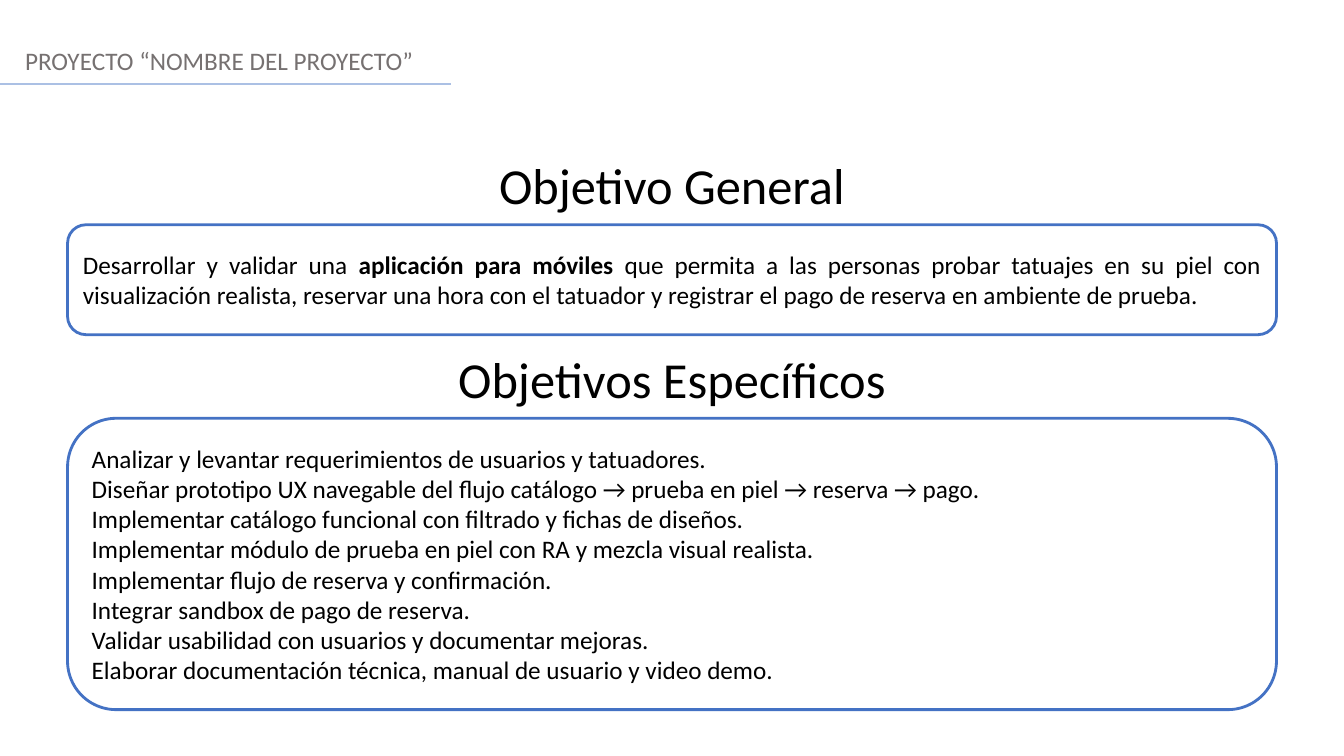
from pptx import Presentation, util as u
from pptx.dml.color import RGBColor
from pptx.enum import shapes, text
from pptx.oxml.ns import qn
from lxml import etree

WIDE, HIGH = 13.33, 7.5
BLACK = RGBColor(0, 0, 0)
WHITE = RGBColor(255, 255, 255)
GREY = RGBColor(0x76, 0x71, 0x71)
BLUE = RGBColor(0x44, 0x72, 0xC4)
PALE = RGBColor(0xAB, 0xC0, 0xE4)
ALIGN = text.PP_ALIGN
EDGE, SPAN = 0.67, 11.99

GOAL = [[
    ("Desarrollar y validar una ", False),
    ("aplicación para móviles", True),
    (" que permita a las personas probar tatuajes en su piel con "
     "visualización realista, reservar una hora con el tatuador y "
     "registrar el pago de reserva en ambiente de prueba.", False),
]]
STEPS = [[(line, False)] for line in (
    "Analizar y levantar requerimientos de usuarios y tatuadores.",
    "Diseñar prototipo UX navegable del flujo catálogo → prueba en piel → reserva → pago.",
    "Implementar catálogo funcional con filtrado y fichas de diseños.",
    "Implementar módulo de prueba en piel con RA y mezcla visual realista.",
    "Implementar flujo de reserva y confirmación.",
    "Integrar sandbox de pago de reserva.",
    "Validar usabilidad con usuarios y documentar mejoras.",
    "Elaborar documentación técnica, manual de usuario y video demo.",
)]


def inches(*sizes):
    return [u.Inches(size) for size in sizes]


def write(frame, lines, size, color, align):
    """Fill a text frame with lines, each a list of (words, bold)."""
    frame.word_wrap = True
    for row, line in enumerate(lines):
        para = frame.add_paragraph() if row else frame.paragraphs[0]
        para.alignment = align
        for words, bold in line:
            run = para.add_run()
            run.text = words
            run.font.color.rgb = color
            look = {"name": "Calibri", "size": u.Pt(size), "bold": bold}
            for key, value in look.items():
                setattr(run.font, key, value)


def label(slide, box, words, size, color, align):
    area = slide.shapes.add_textbox(*inches(*box))
    write(area.text_frame, [[(words, False)]], size, color, align)


def header(slide, left, top, width):
    label(slide, (left, top, WIDE - left, 0.4),
          "PROYECTO “NOMBRE DEL PROYECTO”", 18, GREY, ALIGN.LEFT)
    base = top + 0.43
    rule = slide.shapes.add_connector(
        shapes.MSO_CONNECTOR.STRAIGHT, *inches(0, base, width, base))
    rule.line.color.rgb = PALE
    rule.line.width = u.Pt(1.25)
    etree.SubElement(rule.element.spPr, qn("a:effectLst"))


def section(slide, top, height, title, lines, align):
    """Place a centred title above a rounded panel that starts at top."""
    label(slide, (0, top - 0.75, WIDE, 0.71), title, 36, BLACK, ALIGN.CENTER)
    panel = slide.shapes.add_shape(
        shapes.MSO_SHAPE.ROUNDED_RECTANGLE, *inches(EDGE, top, SPAN, height))
    panel.shadow.inherit = False
    panel.fill.solid()
    panel.fill.fore_color.rgb = WHITE
    panel.line.color.rgb = BLUE
    panel.line.width = u.Pt(2)
    panel.text_frame.vertical_anchor = text.MSO_ANCHOR.MIDDLE
    write(panel.text_frame, lines, 18, BLACK, align)


def main():
    deck = Presentation()
    deck.slide_width, deck.slide_height = inches(WIDE, HIGH)
    slide = deck.slides.add_slide(deck.slide_layouts[6])
    header(slide, 0.15, 0.4, 4.47)
    section(slide, 2.23, 1.09, "Objetivo General", GOAL, ALIGN.JUSTIFY)
    section(slide, 4.15, 2.89, "Objetivos Específicos", STEPS, ALIGN.LEFT)
    deck.save("out.pptx")


if __name__ == "__main__":
    main()
